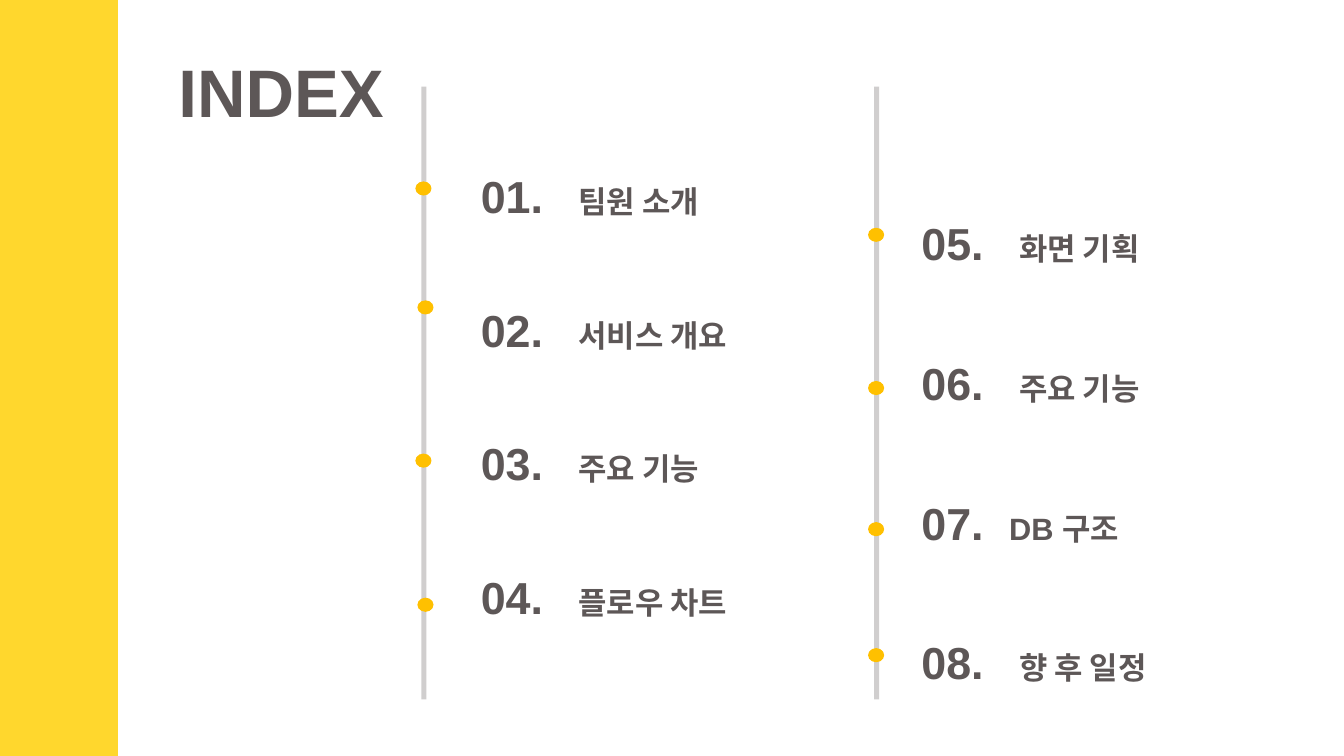
"""Build the index slide: a yellow side band and two timelines of numbered sections."""
from lxml import etree
from pptx import Presentation
from pptx.dml.color import RGBColor
from pptx.enum.shapes import MSO_SHAPE
from pptx.enum.text import MSO_ANCHOR, MSO_AUTO_SIZE, PP_ALIGN
from pptx.oxml.ns import qn
from pptx.util import Inches, Pt

RECTANGLE, OVAL = MSO_SHAPE.RECTANGLE, MSO_SHAPE.OVAL
TOP, MIDDLE = MSO_ANCHOR.TOP, MSO_ANCHOR.MIDDLE
LEFT = PP_ALIGN.LEFT
FIT_SHAPE = MSO_AUTO_SIZE.SHAPE_TO_FIT_TEXT
INK, BAND, RAIL, DOT = "5D5757", "FFD72D", "D0CECE", "FFC000"


def add_block(parent, kind, left, top, width, height, color):
    block = parent.shapes.add_shape(
        kind, Inches(left), Inches(top), Inches(width), Inches(height))
    block.shadow.inherit = False
    block.fill.solid()
    block.fill.fore_color.rgb = RGBColor.from_string(color)
    block.line.fill.background()


def style_text(frame, size, anchor):
    frame.word_wrap = True
    frame.auto_size = FIT_SHAPE
    frame.vertical_anchor = anchor
    paragraph = frame.paragraphs[0]
    paragraph.alignment = LEFT
    paragraph.font.name = "Arial"
    paragraph.font.size = Pt(size)
    paragraph.font.bold = True
    paragraph.font.color.rgb = RGBColor.from_string(INK)
    return paragraph


prs = Presentation()
prs.slide_width, prs.slide_height = Inches(13.33), Inches(7.5)
slide = prs.slides.add_slide(prs.slide_layouts[5])

heading = slide.shapes.title
heading.left, heading.top = Inches(1.67), Inches(0.45)
heading.width, heading.height = Inches(2.51), Inches(0.91)
heading.text_frame.text = "INDEX"
style_text(heading.text_frame, 48, TOP)

add_block(slide, RECTANGLE, 0, 0, 1.17, 7.5, BAND)

columns = [
    {"rail": 4.18, "dots": [(4.12, 1.8), (4.14, 2.98), (4.12, 4.5), (4.14, 5.93)],
     "left": 4.67, "top": 1.62, "pitch": 1.327, "anchor": MIDDLE, "first": 1,
     "sections": ["팀원 소개", "서비스 개요", "주요 기능", "플로우 차트"]},
    {"rail": 8.67, "dots": [(8.61, 2.26), (8.61, 3.78), (8.61, 5.18), (8.61, 6.43)],
     "left": 9.04, "top": 2.09, "pitch": 1.387, "anchor": TOP, "first": 5,
     "sections": ["화면 기획", "주요 기능", "DB 구조", "향 후 일정"]},
]

for column in columns:
    timeline = slide.shapes.add_group_shape()
    add_block(timeline, RECTANGLE, column["rail"], 0.86, 0.05, 6.08, RAIL)
    for dot_left, dot_top in column["dots"]:
        add_block(timeline, OVAL, dot_left, dot_top, 0.16, 0.14, DOT)

    for row, section in enumerate(column["sections"]):
        entry = slide.shapes.add_textbox(
            Inches(column["left"]), Inches(column["top"] + row * column["pitch"]),
            Inches(3.38), Inches(0.64))
        line = style_text(entry.text_frame, 32, column["anchor"])
        line.add_run().text = f"{column['first'] + row:02d}.\t"
        label = line.add_run()
        label.text = section
        label.font.size = Pt(22)
        label_offset = 0.87 if section[0].isascii() else 0.97
        tabs = etree.Element(qn("a:tabLst"))
        etree.SubElement(tabs, qn("a:tab"), pos=str(Inches(label_offset)), algn="l")
        line.font._element.addprevious(tabs)

prs.save("out.pptx")
